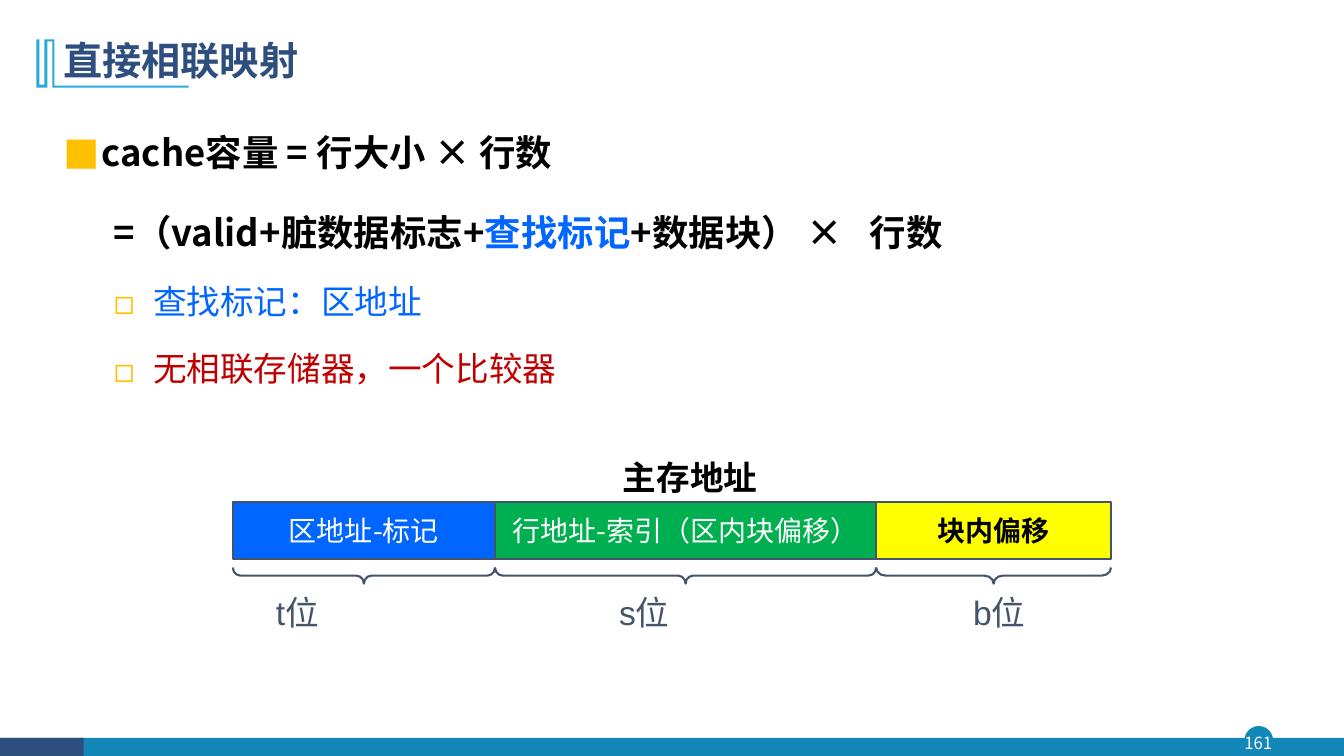
from lxml import etree
from pptx import Presentation
from pptx import util as u
from pptx.dml import color
from pptx.enum import shapes, text
from pptx.oxml import ns

PX = 9144
SANS = "Noto Sans CJK SC"
NAVY, TEAL, SLATE, GOLD = "2E4E7E", "1387B7", "44546A", "FFC000"
BLUE, RED, BLACK, WHITE = "0066FF", "C00000", "000000", "FFFFFF"
MID, LEFT = text.PP_ALIGN.CENTER, text.PP_ALIGN.LEFT
KIND = shapes.MSO_SHAPE


def px(*vals):
    return [u.Emu(round(v * PX)) for v in vals]


def hue(code):
    return color.RGBColor.from_string(code)


def add(node, tag, **attrs):
    item = etree.SubElement(node, ns.qn(tag))
    for key, val in attrs.items():
        item.set(key, str(val))
    return item


def write(para, words, size=24, ink=BLACK, bold=False, face=SANS):
    run = para.add_run()
    run.text = words
    font = run.font
    font.size, font.bold = u.Pt(size), bold
    font.color.rgb = hue(ink)
    font.name = face
    add(font._element, "a:ea", typeface=SANS)


def label(slide, box, words, inset=(10, 5), align=MID, mid=False, space=None, **form):
    frame = slide.shapes.add_textbox(*px(*box)).text_frame
    frame.word_wrap = True
    frame.margin_left = frame.margin_right = px(inset[0])[0]
    frame.margin_top = frame.margin_bottom = px(inset[1])[0]
    if mid:
        frame.vertical_anchor = text.MSO_ANCHOR.MIDDLE
    para = frame.paragraphs[0]
    para.alignment = align
    para.line_spacing = space
    write(para, words, **form)


def style(shape, fill=None, line=None, width=1.5):
    shape.shadow.inherit = False
    if fill:
        shape.fill.solid()
        shape.fill.fore_color.rgb = hue(fill)
    else:
        shape.fill.background()
    if line:
        shape.line.color.rgb = hue(line)
        shape.line.width = u.Pt(width)
    else:
        shape.line.fill.background()
    return shape


def block(slide, kind, box, **form):
    return style(slide.shapes.add_shape(kind, *px(*box)), **form)


def header(slide, x, y, w, h):
    points = [(18, 0), (18, 46), (151, 46), (151, 48), (16, 48), (16, 2), (11, 2),
              (11, 48), (0, 48), (0, 0), (3, 0), (3, 45), (8, 45), (8, 0)]
    spots = [(x + a, y + b) for a, b in points]
    pen = slide.shapes.build_freeform(*spots[0], scale=PX)
    pen.add_line_segments(spots[1:], close=True)
    style(pen.convert_to_shape(), fill="28A9D6")
    label(slide, (x + 17, y - 11, w, h), "直接相联映射", align=LEFT, mid=True,
          space=0.9, size=28, ink=NAVY, bold=True)


def footer(slide, x, y, w, h):
    block(slide, KIND.OVAL, (x + 1235, y - 11, 27, 27), fill=TEAL, line=TEAL, width=1)
    block(slide, KIND.RECTANGLE, (x, y, w, h), fill=TEAL)
    block(slide, KIND.RECTANGLE, (x, y, 83, h), fill=NAVY)
    label(slide, (x + 1232, y - 11, 32, 31), "161", inset=(0, 0), mid=True,
          size=12, ink=WHITE)


def body(slide, x, y, w, h):
    frame = slide.shapes.add_textbox(*px(x, y, w, h)).text_frame
    frame.word_wrap = True
    big = dict(size=26, bold=True)
    rows = [
        (0, 38, "■", 0, [("cache容量 = 行大小 × 行数", big)]),
        (0, 0, None, 10, [("\t=（valid+脏数据标志+", big),
                          ("查找标记", dict(big, ink=BLUE)),
                          ("+数据块） ×\t行数", big)]),
        (1, 89, "◻", 5, [("查找标记：区地址", dict(ink=BLUE))]),
        (1, 89, "◻", 5, [("无相联存储器，一个比较器", dict(ink=RED))]),
    ]
    for i, (level, edge, mark, gap, runs) in enumerate(rows):
        para = frame.paragraphs[0] if i == 0 else frame.add_paragraph()
        para.level = level
        para.alignment = text.PP_ALIGN.JUSTIFY
        para.line_spacing = 1.5
        para.space_before = u.Pt(gap)
        props = para._p.get_or_add_pPr()
        props.set("marL", str(edge * PX))
        if mark:
            props.set("indent", str(-(39 if level else 38) * PX))
            add(add(props, "a:buClr"), "a:srgbClr", val=GOLD)
            add(props, "a:buFont", typeface=SANS)
            add(props, "a:buChar", char=mark)
        else:
            props.set("indent", "0")
            tabs = add(props, "a:tabLst")
            for stop in (183, 1000):
                add(tabs, "a:tab", pos=stop * PX, algn="l")
        for words, form in runs:
            write(para, words, **form)


def brace(slide, x, y, w, h, bend):
    box = (x + (w - h) / 2, y + (h - w) / 2, h, w)
    shape = block(slide, KIND.LEFT_BRACE, box, line=SLATE)
    shape.rotation = 270
    shape.adjustments[0] = bend


def address(slide, x, y, w, h):
    label(slide, (x + 299, y, 309, 50), "主存地址", bold=True)
    fields = [
        (260, BLUE, "区地址-标记", WHITE, False, "t位", 0, 0.47),
        (378, "00B050", "行地址-索引（区内块偏移）", WHITE, False, "s位", 84, 0.47),
        (w - 638, "FFFF00", "块内偏移", BLACK, True, "b位", 58, 0.58),
    ]
    for wide, fill, words, ink, bold, bits, shift, bend in fields:
        cell = block(slide, KIND.RECTANGLE, (x, y + 50, wide, 57), fill=fill, line=SLATE)
        frame = cell.text_frame
        frame.vertical_anchor = text.MSO_ANCHOR.MIDDLE
        frame.paragraphs[0].alignment = MID
        write(frame.paragraphs[0], words, size=20, ink=ink, bold=bold)
        brace(slide, x, y + 115, wide, 16, bend)
        label(slide, (x + shift, y + h - 34, 128, 34), bits, inset=(0, 0),
              ink=SLATE, face="Arial")
        x += wide


def main():
    deck = Presentation()
    deck.slide_width, deck.slide_height = px(1333, 750)
    slide = deck.slides.add_slide(deck.slide_layouts[6])
    footer(slide, 0, 732, 1333, 19)
    header(slide, 36, 39, 1150, 68)
    body(slide, 53, 103, 1181, 616)
    address(slide, 231, 448, 871, 173)
    deck.save("out.pptx")


if __name__ == "__main__":
    main()
